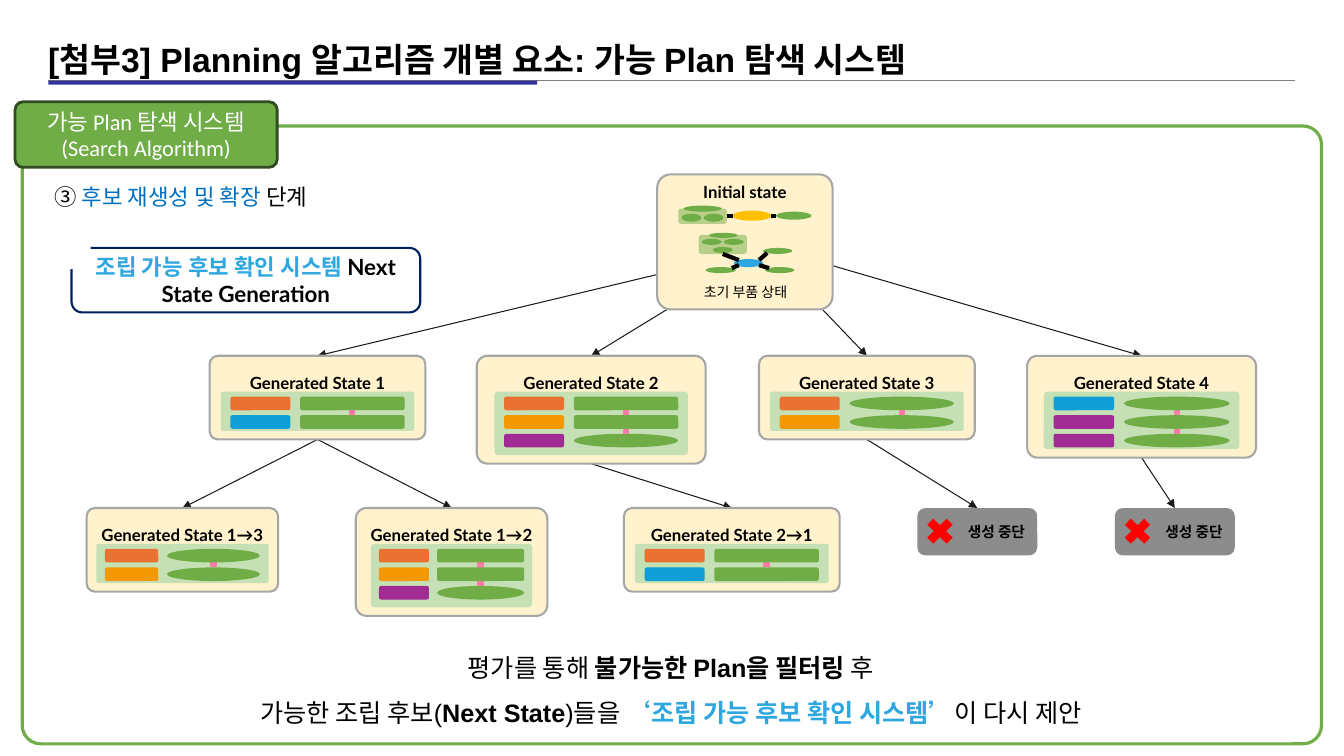
from lxml.etree import SubElement
from pptx import Presentation
from pptx.dml.color import RGBColor
from pptx.enum.shapes import MSO_CONNECTOR as Connector, MSO_SHAPE as Shape
from pptx.enum.text import MSO_ANCHOR as Anchor, PP_ALIGN as Align
from pptx.oxml.ns import qn
from pptx.util import Inches, Pt

# The grid: each column and each row is a tenth of an inch
COLUMNS, ROWS = 133.33, 75
CELL = Inches(0.1)

COLORS = {
    "black": "000000", "white": "FFFFFF", "arrow": "1A1A1A", "rule": "808080",
    "navy": "333399", "frame": "70AD47", "label edge": "314C1F", "blue": "0070C0",
    "sky": "2EA7E0", "note edge": "002060", "cream": "FFF2CC", "card edge": "A6A6A6",
    "panel": "C5E0B4", "link": "FF79A9", "stop": "8C8C8C", "red": "FF0000",
    "green": "70AD47", "orange": "E97132", "amber": "F39800", "cyan": "0F9ED5",
    "purple": "A02B93", "gold": "FFC000",
}

# Title: left, top, width, height, then rows of (part colour, assembly shape)
BAR, OVAL = Shape.ROUNDED_RECTANGLE, Shape.OVAL
STATES = {
    "1": (20.8, 35.3, 21.4, 8.3, 19.2, [("orange", BAR), ("cyan", BAR)]),
    "2": (47.3, 35.3, 22.7, 10.7, 19.2,
          [("orange", BAR), ("amber", BAR), ("purple", OVAL)]),
    "3": (75.3, 35.3, 21.4, 8.3, 19.2, [("orange", OVAL), ("amber", OVAL)]),
    "4": (101.9, 35.3, 22.7, 10.1, 19.4,
          [("cyan", OVAL), ("purple", OVAL), ("purple", OVAL)]),
    "1→3": (8.6, 50.4, 19, 8.3, 17.1, [("orange", OVAL), ("amber", OVAL)]),
    "1→2": (35.3, 50.4, 19, 10.7, 16,
            [("orange", BAR), ("amber", BAR), ("purple", OVAL)]),
    "2→1": (61.9, 50.4, 21.4, 8.3, 19.2, [("orange", BAR), ("cyan", BAR)]),
}
STOPS = {"3": 91, "4": 110.6}
STOP_TOP, STOP_WIDTH = 50.4, 11.9
INITIAL_EXITS = {"1": (66.6, 26.9), "2": (68.3, 29.4), "3": (74.7, 23.5), "4": (80, 25.6)}


def color(name):
    return RGBColor.from_string(COLORS[name])


def grid(*lengths):
    return [int(length * CELL) for length in lengths]


def add_box(shapes, kind, place, fill=None, line=None, weight=1.5, corner=None, alpha=None):
    shape = shapes.add_shape(kind, *grid(*place))
    shape.shadow.inherit = False
    if corner is not None:
        shape.adjustments[0] = corner
    if fill:
        shape.fill.solid()
        shape.fill.fore_color.rgb = color(fill)
    else:
        shape.fill.background()
    if alpha:
        tint = shape.fill._xPr.find(".//" + qn("a:srgbClr"))
        SubElement(tint, qn("a:alpha")).set("val", str(alpha * 1000))
    if line:
        shape.line.color.rgb = color(line)
        shape.line.width = Pt(weight)
    else:
        shape.line.fill.background()
    return shape


def add_line(shapes, start, end, line="arrow", weight=0.75, arrow=False):
    connector = shapes.add_connector(Connector.STRAIGHT, *grid(*start, *end))
    connector.line.color.rgb = color(line)
    connector.line.width = Pt(weight)
    properties = connector._element.spPr
    if arrow:
        SubElement(properties.find(qn("a:ln")), qn("a:tailEnd")).set("type", "triangle")
    SubElement(properties, qn("a:effectLst"))


def write(shape, *paragraphs, font="Lato", size=12, ink="black", bold=False,
          align=Align.CENTER, anchor=Anchor.TOP, spacing=None, before=None):
    """Each paragraph is a list of runs: (text, ink, bold), the last two optional."""
    frame = shape.text_frame
    frame.word_wrap = True
    frame.vertical_anchor = anchor
    for index, runs in enumerate(paragraphs):
        paragraph = frame.add_paragraph() if index else frame.paragraphs[0]
        paragraph.alignment = align
        if spacing:
            paragraph.line_spacing = spacing
        if before:
            paragraph.space_before = Pt(before)
        for text, *style in runs:
            run = paragraph.add_run()
            run.text = text
            run.font.name, run.font.size = font, Pt(size)
            run.font.color.rgb = color(style[0] if style else ink)
            run.font.bold = style[1] if len(style) > 1 else bold


def add_text(shapes, place, *paragraphs, **style):
    write(shapes.add_textbox(*grid(*place)), *paragraphs, **style)


def add_card(shapes, place, title, title_top):
    left, top, width, height = place
    add_box(shapes, BAR, place, "cream", "card edge", corner=0.1)
    add_text(shapes, (left + width / 2 - 10, title_top, 20, 3.9), [(title,)],
             bold=True, spacing=1.6, before=2.4)


def add_state(shapes, name):
    left, top, width, height, panel_width, rows = STATES[name]
    add_card(shapes, (left, top, width, height), f"Generated State {name}", top)
    group = shapes.add_group_shape().shapes
    panel_left, panel_top = left + (width - panel_width) / 2, top + 3.55
    add_box(group, BAR, (panel_left, panel_top, panel_width, height - 4.4),
            "panel", corner=0.06)

    part_left, part_width = panel_left + 0.05 * panel_width, 0.31 * panel_width
    unit_left, unit_width = panel_left + 0.41 * panel_width, 0.54 * panel_width
    tops = [panel_top + 0.5 + 1.84 * index for index in range(len(rows))]
    middle = unit_left + unit_width / 2
    add_line(group, (middle, tops[0] + 1.35), (middle, tops[-1]), "link", 4.5)
    for row_top, (part, kind) in zip(tops, rows):
        add_box(group, BAR, (part_left, row_top, part_width, 1.35), part)
        add_box(group, kind, (unit_left, row_top, unit_width, 1.35), "green")


def add_stop(shapes, left):
    group = shapes.add_group_shape().shapes
    box = add_box(group, BAR, (left, STOP_TOP, STOP_WIDTH, 4.7), "stop")
    write(box, [("생성 중단",)], size=10.5, bold=True, align=Align.RIGHT, anchor=Anchor.MIDDLE)
    add_box(group, Shape.MATH_MULTIPLY, (left + 0.4, STOP_TOP + 0.5, 3.7, 3.6), "red")


def add_initial_state(shapes):
    add_card(shapes, (65.2, 17.3, 17.4, 13.4), "Initial state", 16.3)
    group = shapes.add_group_shape().shapes
    for tray in [(67.3, 20.7, 4.8, 1.5), (69.3, 23.3, 4.8, 1.9)]:
        add_box(group, BAR, tray, "green", alpha=50)
    ovals = {
        "gold": [(72.7, 20.9, 3.8, 1)],
        "sky": [(72.8, 25.7, 2.9, 0.8)],
        "green": [(77, 21, 3.5, 0.8), (67.8, 20.4, 3.8, 0.6), (67.6, 21.2, 2, 0.8),
                  (69.8, 21.2, 2, 0.8), (69.6, 23.7, 2, 0.6), (71.8, 23.7, 2, 0.6),
                  (70.7, 24.5, 2, 0.6), (70.3, 23.1, 2.9, 0.5), (75.7, 24.6, 2.9, 0.6),
                  (75.9, 26.5, 2.9, 0.6), (70, 26.5, 3, 0.6)],
    }
    for fill, places in ovals.items():
        for place in places:
            add_box(group, OVAL, place, fill)
    joints = [((72.1, 21.4), (72.7, 21.4)), ((77, 21.4), (76.5, 21.4)),
              ((71.7, 25.2), (73.3, 25.8)), ((75.3, 25.8), (76.1, 25.1)),
              ((76.3, 26.6), (75.3, 26.3)), ((72.6, 26.6), (73.3, 26.3))]
    for start, end in joints:
        add_line(group, start, end, "black", 3)
    add_text(group, (66.2, 27.65, 15.5, 1.8), [("초기 부품 상태",)], font="Calibri", size=10)


def add_arrows(shapes):
    def top_of(name):
        left, top, width = STATES[name][:3]
        return left + width / 2, top

    def bottom_of(name):
        middle, top = top_of(name)
        return middle, top + STATES[name][3]

    links = [(start, top_of(name)) for name, start in INITIAL_EXITS.items()]
    links += [(bottom_of(name[0]), top_of(name)) for name in STATES if "→" in name]
    links += [(bottom_of(name), (left + STOP_WIDTH / 2, STOP_TOP))
              for name, left in STOPS.items()]
    for start, end in links:
        add_line(shapes, start, end, arrow=True)


def add_heading(shapes):
    add_text(shapes, (3.8, 3.4, 102.2, 5),
             [("[첨부3] Planning 알고리즘 개별 요소: 가능 Plan 탐색 시스템",)],
             font="Arial", size=24, bold=True, align=Align.LEFT)
    add_line(shapes, (4.8, 8), (128.5, 8), "rule", 1)
    add_box(shapes, Shape.RECTANGLE, (4.8, 8, 48.5, 0.4), "navy")
    label = add_box(shapes, BAR, (1.5, 10.1, 26, 6.5), "frame", "label edge", 2, 0.12)
    write(label, [("가능 Plan 탐색 시스템",)], [("(Search Algorithm)",)],
          font="Calibri", size=16, ink="white", anchor=Anchor.MIDDLE)
    add_text(shapes, (4.4, 17.7, 99.9, 4.6),
             [("③ ",), ("후보 재생성 및 확장", "blue"), (" 단계",)],
             size=16, align=Align.LEFT, before=6)


def add_system_note(shapes):
    group = shapes.add_group_shape().shapes
    note = add_box(group, BAR, (7.1, 24.6, 34.6, 6.4), "white", "note edge")
    write(note, [("조립 가능 후보 확인 시스템 ", "sky"), ("Next State Generation",)],
          size=16, bold=True, anchor=Anchor.MIDDLE)
    add_box(group, Shape.CAN, (4.6, 21.6, 4.4, 5.1), "white", corner=0.33)


def main():
    presentation = Presentation()
    presentation.slide_width, presentation.slide_height = grid(COLUMNS, ROWS)
    slide = presentation.slides.add_slide(presentation.slide_layouts[6])
    shapes = slide.shapes

    # Frame and heading
    add_box(shapes, BAR, (2.2, 12.5, 128.9, 61.3), line="frame", weight=2.25, corner=0.03)
    add_heading(shapes)

    # Search tree
    add_arrows(shapes)
    add_initial_state(shapes)
    for name in STATES:
        add_state(shapes, name)
    for left in STOPS.values():
        add_stop(shapes, left)
    add_system_note(shapes)

    # Conclusion
    add_text(shapes, (6.9, 62.7, 119.3, 9.5),
             [("평가를 통해 ",), ("불가능한 Plan을 필터링 ", "black", True), ("후",)],
             [("가능한 조립 후보(",), ("Next State", "black", True), (")들을 ",),
              ("‘조립 가능 후보 확인 시스템’", "sky", True), ("이 다시 제안",)],
             font="Arial", size=18, spacing=1.5)

    presentation.save("out.pptx")


if __name__ == "__main__":
    main()
